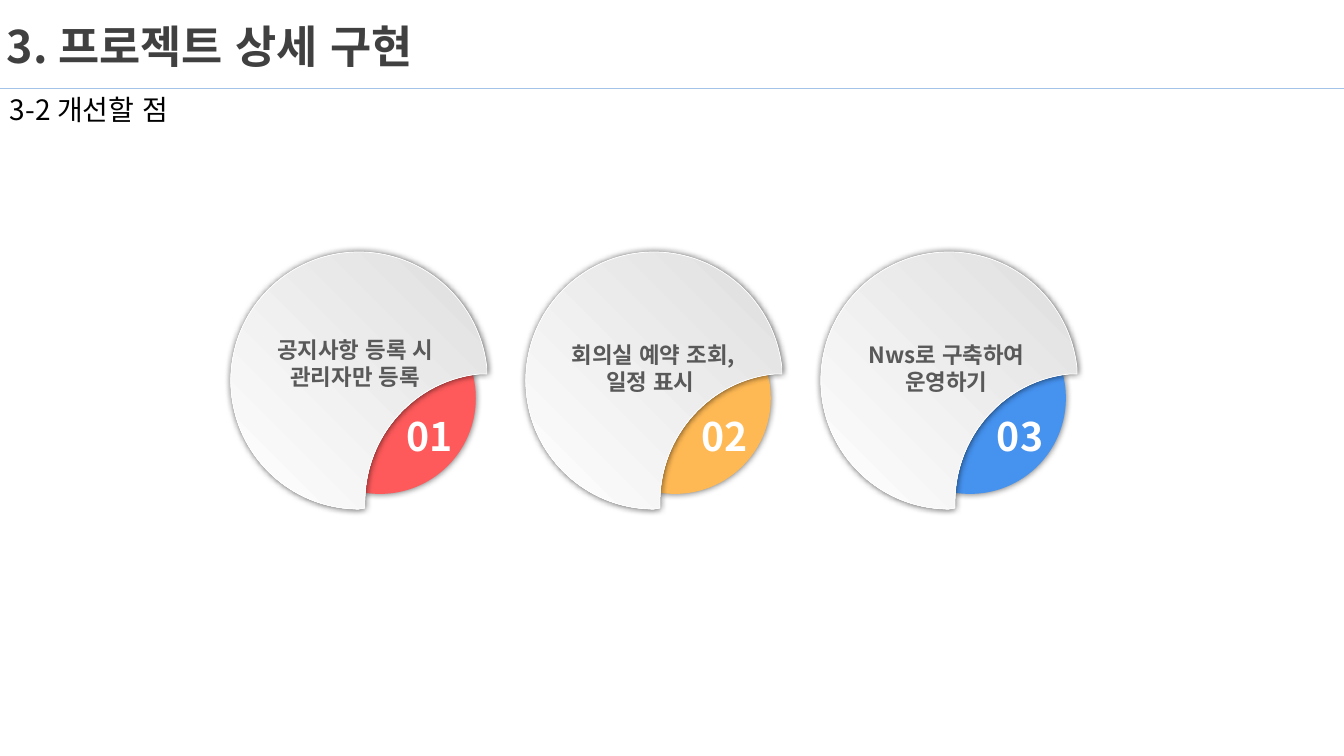
"""Build the slide that lists three planned improvements as numbered discs."""
from dataclasses import dataclass

from lxml import etree
from pptx import Presentation
from pptx import util as u
from pptx.dml.color import RGBColor
from pptx.enum import lang, shapes, text
from pptx.oxml.ns import qn

FONT = "Noto Sans CJK KR"
COLORS = {
    "title": "404040", "body": "000000", "label": "595959", "white": "FFFFFF",
    "rule": "A4C4E7", "disc_dark": "DEDEDE", "shadow": "000000",
    "red": "FE5A5B", "amber": "FFB954", "blue": "4592EF",
}
COLS, ROWS = 133.33, 75
CELL = u.Inches(0.1)
FIRST_COL, DISC_ROW, PITCH = 22.9, 25, 29.27

DISC_START = (12.7, 0)
DISC_SEGMENTS = [
    [(19.3, 0), (24.7, 5), (25.4, 11.5)],
    [(25.4, 12.1)],
    [(24.7, 12.1)],
    [(18.3, 12.7), (13.3, 18.2), (13.3, 24.8)],
    [(13.3, 25.4)],
    [(12.7, 25.5)],
    [(5.7, 25.5), (0, 19.8), (0, 12.75)],
    [(0, 5.7), (5.7, 0), (12.7, 0)],
]


@dataclass
class Box:
    col: float
    row: float
    cols: float
    rows: float

    def emu(self) -> list[int]:
        return [round(n * CELL) for n in (self.col, self.row, self.cols, self.rows)]


@dataclass
class Style:
    size: float
    color: str
    bold: bool = True
    centered: bool = True
    side_inset: float = 1


@dataclass
class Card:
    number: str
    label: str
    accent: str
    label_col: float
    label_row: float


TITLE = Style(32, "title", centered=False)
SUBTITLE = Style(20, "body", bold=False, centered=False)
LABEL = Style(16, "label")
NUMBER = Style(28, "white", side_inset=1.2)

CARDS = [
    Card("01", "공지사항 등록 시\v관리자만 등록", "red", 2.2, 32.9),
    Card("02", "회의실 예약 조회,\n일정 표시 ", "amber", 2.5, 33.4),
    Card("03", "Nws로 구축하여\v운영하기", "blue", 2.3, 33.4),
]


def rgb(name: str) -> RGBColor:
    return RGBColor.from_string(COLORS[name])


def add_text(slide, box: Box, content: str, style: Style):
    sp = slide.shapes.add_textbox(*box.emu())
    tf = sp.text_frame
    tf.text = content
    tf.word_wrap = True
    tf.auto_size = text.MSO_AUTO_SIZE.SHAPE_TO_FIT_TEXT
    tf.margin_left = tf.margin_right = round(style.side_inset * CELL)
    for p in tf.paragraphs:
        p.alignment = text.PP_ALIGN.CENTER if style.centered else text.PP_ALIGN.LEFT
        for r in p.runs:
            r.font.name = FONT
            r.font.size = u.Pt(style.size)
            r.font.bold = style.bold
            r.font.color.rgb = rgb(style.color)
            r.font.language_id = lang.MSO_LANGUAGE_ID.KOREAN
            ea = etree.Element(qn("a:ea"), typeface=FONT)
            r.font._element.find(qn("a:latin")).addnext(ea)
    return sp


def add_shadow(sp) -> None:
    sp.shadow.inherit = False
    effects = sp._element.spPr.find(qn("a:effectLst"))
    glow = etree.SubElement(effects, qn("a:outerShdw"), blurRad=str(u.Pt(5)),
                            dist="0", dir="0", algn="ctr", rotWithShape="0")
    color = etree.SubElement(glow, qn("a:srgbClr"), val=COLORS["shadow"])
    etree.SubElement(color, qn("a:alpha"), val="60000")


def bend_segments(sp) -> None:
    lines = list(sp._element.spPr.iter(qn("a:lnTo")))
    for line, points in zip(lines, DISC_SEGMENTS):
        if len(points) == 1:
            continue
        curve = etree.Element(qn("a:cubicBezTo"))
        for x, y in points:
            etree.SubElement(curve, qn("a:pt"), x=str(round(x * CELL)), y=str(round(y * CELL)))
        line.getparent().replace(line, curve)


def add_disc(slide, col: float) -> None:
    corners = [DISC_START, *(points[-1] for points in DISC_SEGMENTS)]
    start, *rest = [((col + x) * CELL, (DISC_ROW + y) * CELL) for x, y in corners]
    builder = slide.shapes.build_freeform(*start)
    builder.add_line_segments(rest, close=True)
    sp = builder.convert_to_shape()
    bend_segments(sp)
    sp.fill.gradient()
    sp.fill.gradient_angle = 225
    for stop, position, name in zip(sp.fill.gradient_stops, (0, 1), ("disc_dark", "white")):
        stop.position = position
        stop.color.rgb = rgb(name)
    sp.line.color.rgb = rgb("white")
    sp.line.width = u.Pt(0.5)
    add_shadow(sp)


def add_card(slide, card: Card, col: float) -> None:
    sp = slide.shapes.add_shape(shapes.MSO_SHAPE.OVAL, *Box(col + 5.3, 30, 19, 19).emu())
    sp.fill.solid()
    sp.fill.fore_color.rgb = rgb(card.accent)
    sp.line.fill.background()
    add_shadow(sp)
    add_disc(slide, col)
    add_text(slide, Box(col + card.label_col, card.label_row, 20.3, 6.4), card.label, LABEL)
    add_text(slide, Box(col + 16.2, 40.4, 7.1, 5.7), card.number, NUMBER)


def add_header(slide) -> None:
    sp = add_text(slide, Box(-0.3, 1.3, 62.9, 7.1), "3. 프로젝트 상세 구현", TITLE)
    tf = sp.text_frame
    tf.auto_size = text.MSO_AUTO_SIZE.NONE
    tf.vertical_anchor = text.MSO_ANCHOR.MIDDLE
    tf.paragraphs[0].line_spacing = 0.9
    tf.paragraphs[0].space_before = u.Pt(10)
    x, y, width, _ = Box(0, 8.8, COLS, 0).emu()
    line = slide.shapes.add_connector(shapes.MSO_CONNECTOR.STRAIGHT, x, y, x + width, y)
    line.line.color.rgb = rgb("rule")
    line.line.width = u.Pt(0.5)
    etree.SubElement(line._element.spPr, qn("a:effectLst"))
    add_text(slide, Box(0, 8.7, 45, 4.4), "3-2 개선할 점", SUBTITLE)


def main() -> None:
    prs = Presentation()
    prs.slide_width, prs.slide_height = round(COLS * CELL), ROWS * CELL
    slide = prs.slides.add_slide(prs.slide_layouts[6])
    for i, card in enumerate(CARDS):
        add_card(slide, card, FIRST_COL + i * PITCH)
    add_header(slide)
    prs.save("out.pptx")


if __name__ == "__main__":
    main()
